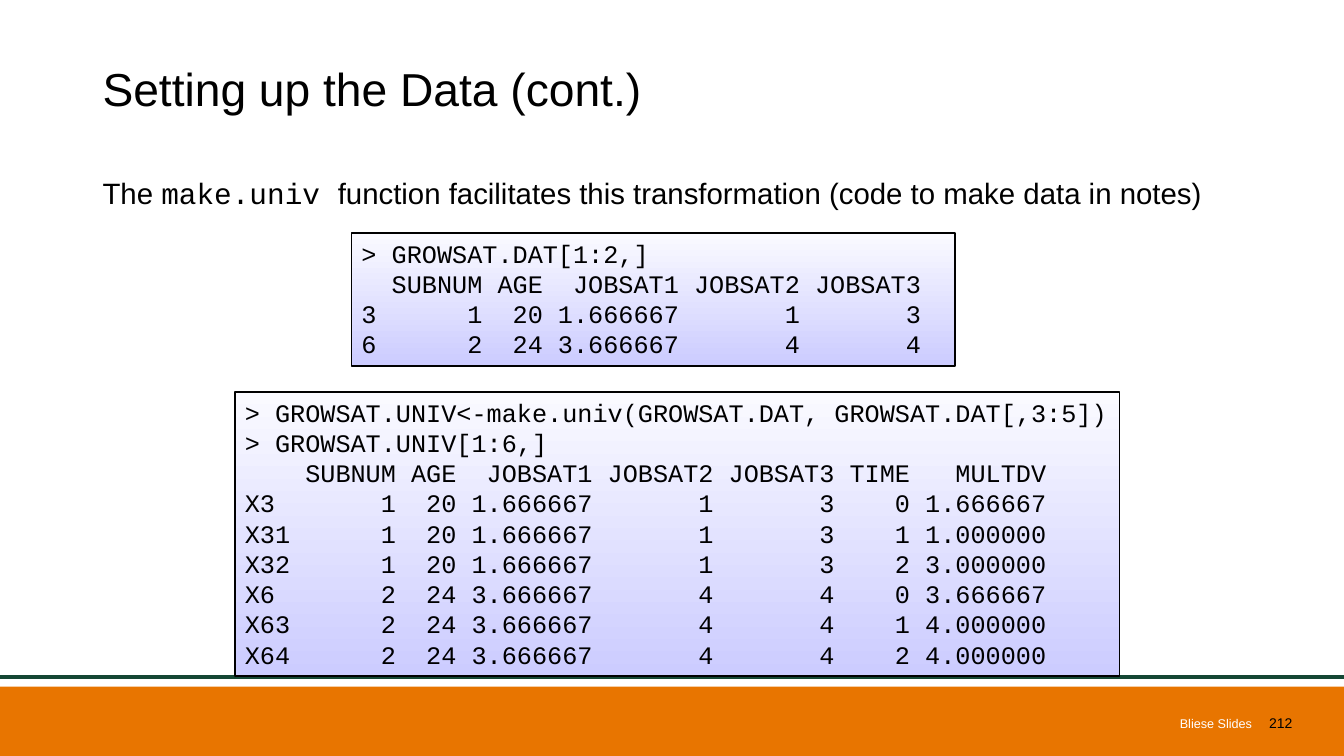
from lxml.etree import SubElement
from pptx import Presentation
from pptx.dml.color import RGBColor
from pptx.enum.shapes import MSO_CONNECTOR, MSO_SHAPE
from pptx.enum.text import MSO_ANCHOR, MSO_AUTO_SIZE, PP_ALIGN
from pptx.oxml.ns import qn
from pptx.util import Cm, Pt

TITLE = "Setting up the Data (cont.)"
INTRO = [
    ("The ", "sans"),
    ("make.univ ", "mono"),
    ("function facilitates this transformation (code to make data in notes)", "sans"),
]
# (left, top, width, height in cm), console lines
LISTINGS = [
    ((8.86, 5.87, 15.21, 3.35), [
        "> GROWSAT.DAT[1:2,]",
        "  SUBNUM AGE  JOBSAT1 JOBSAT2 JOBSAT3",
        "3      1  20 1.666667       1       3",
        "6      2  24 3.666667       4       4",
    ]),
    ((5.92, 9.88, 22.3, 7.16), [
        "> GROWSAT.UNIV<-make.univ(GROWSAT.DAT, GROWSAT.DAT[,3:5])",
        "> GROWSAT.UNIV[1:6,]",
        "    SUBNUM AGE  JOBSAT1 JOBSAT2 JOBSAT3 TIME   MULTDV",
        "X3       1  20 1.666667       1       3    0 1.666667",
        "X31      1  20 1.666667       1       3    1 1.000000",
        "X32      1  20 1.666667       1       3    2 3.000000",
        "X6       2  24 3.666667       4       4    0 3.666667",
        "X63      2  24 3.666667       4       4    1 4.000000",
        "X64      2  24 3.666667       4       4    2 4.000000",
    ]),
]
# text, (left, top, width, height in cm), style, right inset in cm
FOOTERS = [
    ("Bliese Slides", (11.23, 17.96, 20.32, 0.53), "footer", 0),
    ("212", (31.55, 17.96, 1.27, 0.53), "number", 0.25),
]
THEME = {
    "fonts": {"sans": "Arial", "mono": "Courier New"},
    "sizes": {"title": 33, "body": 21, "code": 18, "footer": 9, "number": 10},
    "colors": {
        "text": "000000", "footer": "FFFFFF", "band": "E87500", "rule": "154734",
        "code_top": "FAFAFF", "code_bottom": "CCCCFF",
    },
}


def color(name):
    return RGBColor.from_string(THEME["colors"][name])


def set_attrs(target, **values):
    for name, value in values.items():
        setattr(target, name, value)


def place(sp, box):
    left, top, width, height = map(Cm, box)
    set_attrs(sp, left=left, top=top, width=width, height=height)


def add_run(p, text, size, font="sans", ink="text"):
    r = p.add_run()
    r.text = text
    set_attrs(r.font, name=THEME["fonts"][font], size=Pt(THEME["sizes"][size]))
    r.font.color.rgb = color(ink)


def fill_placeholder(sp, box, runs, size, anchor):
    """Place a template placeholder and write one left-aligned, unbulleted line."""
    place(sp, box)
    set_attrs(sp.text_frame, auto_size=MSO_AUTO_SIZE.NONE, vertical_anchor=anchor, word_wrap=True)
    p = sp.text_frame.paragraphs[0]
    pPr = p._p.get_or_add_pPr()
    pPr.set("marL", "0")
    pPr.set("indent", "0")
    SubElement(pPr, qn("a:buNone"))
    set_attrs(p, alignment=PP_ALIGN.LEFT, line_spacing=0.9, space_before=Pt(0))
    for text, font in runs:
        add_run(p, text, size, font)


def add_band(slide, width):
    band = slide.shapes.add_shape(MSO_SHAPE.RECTANGLE, 0, Cm(17.3), width, Cm(1.75))
    band.shadow.inherit = False
    band.fill.solid()
    band.fill.fore_color.rgb = color("band")
    band.line.fill.background()
    rule = slide.shapes.add_connector(MSO_CONNECTOR.STRAIGHT, 0, Cm(17.05), width, Cm(17.05))
    rule.line.color.rgb = color("rule")
    rule.line.width = Pt(3)
    SubElement(rule._element.spPr, qn("a:effectLst"))


def add_footer(slide, text, box, style, inset):
    sp = slide.shapes.add_textbox(*map(Cm, box))
    tf = sp.text_frame
    set_attrs(tf, word_wrap=True, vertical_anchor=MSO_ANCHOR.MIDDLE, margin_right=Cm(inset))
    p = tf.paragraphs[0]
    p.alignment = PP_ALIGN.RIGHT
    add_run(p, text, style, ink="footer" if style == "footer" else "text")


def add_listing(slide, box, lines):
    sp = slide.shapes.add_shape(MSO_SHAPE.RECTANGLE, *map(Cm, box))
    sp.shadow.inherit = False
    sp.fill.gradient()
    sp.fill.gradient_angle = 270
    for stop, name, position in zip(sp.fill.gradient_stops, ("code_top", "code_bottom"), (0, 1)):
        stop.color.rgb = color(name)
        stop.position = position
    sp.line.color.rgb = color("text")
    sp.line.width = Pt(1)
    tf = sp.text_frame
    set_attrs(tf, word_wrap=True, vertical_anchor=MSO_ANCHOR.TOP,
              auto_size=MSO_AUTO_SIZE.SHAPE_TO_FIT_TEXT)
    for i, line in enumerate(lines):
        p = tf.add_paragraph() if i else tf.paragraphs[0]
        p.alignment = PP_ALIGN.LEFT
        add_run(p, line, "code", "mono")


def main():
    prs = Presentation()
    set_attrs(prs, slide_width=Cm(33.87), slide_height=Cm(19.05))
    slide = prs.slides.add_slide(prs.slide_layouts[1])
    add_band(slide, prs.slide_width)
    for footer in FOOTERS:
        add_footer(slide, *footer)
    title, body = slide.placeholders
    fill_placeholder(title, (2.33, 0.69, 29.21, 3.23), [(TITLE, "sans")], "title",
                     MSO_ANCHOR.MIDDLE)
    fill_placeholder(body, (2.33, 4.39, 29.21, 12.12), INTRO, "body", MSO_ANCHOR.TOP)
    for box, lines in LISTINGS:
        add_listing(slide, box, lines)
    prs.save("out.pptx")


if __name__ == "__main__":
    main()
